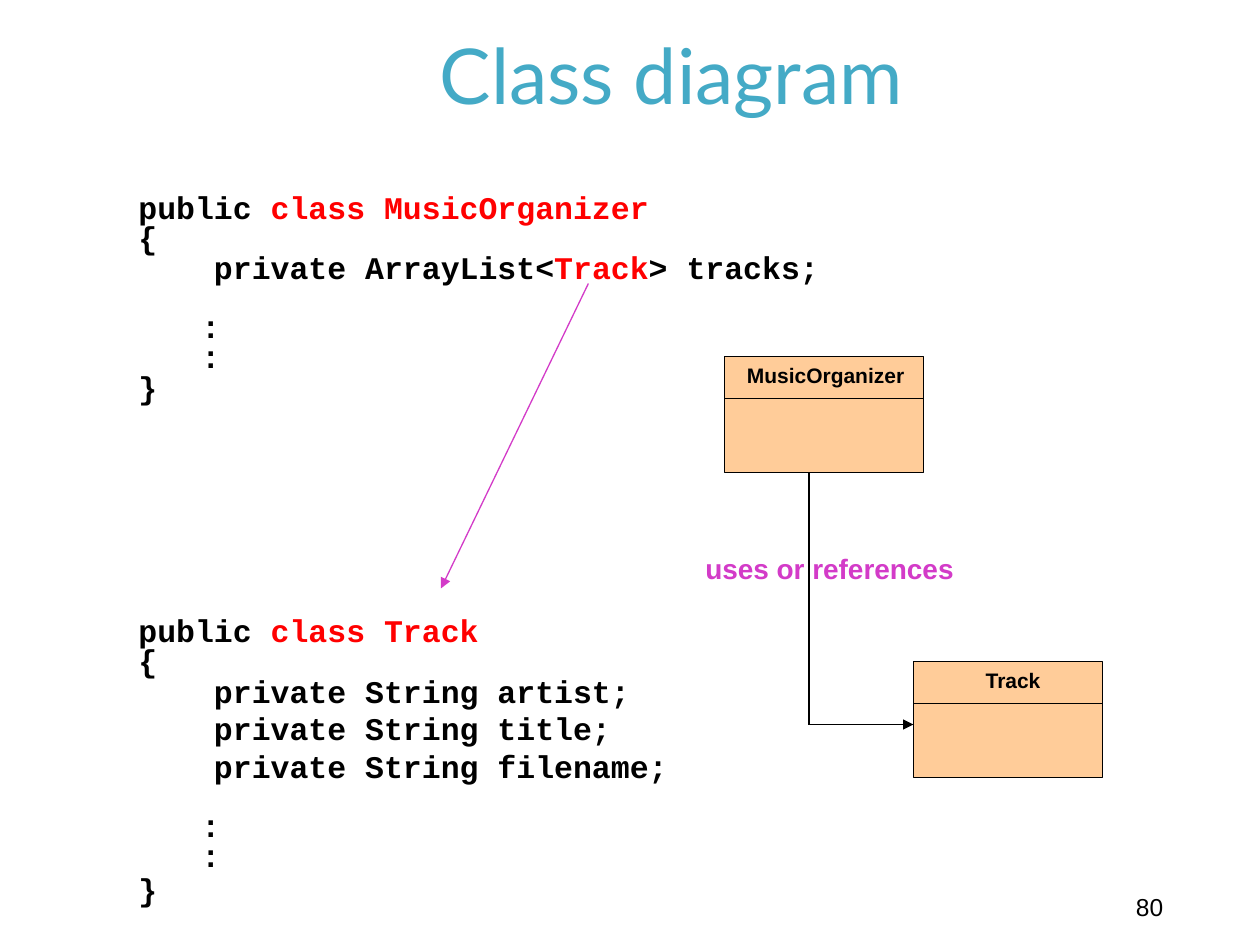
from lxml import etree
from pptx import Presentation
from pptx.dml.color import RGBColor
from pptx.enum.shapes import MSO_CONNECTOR as Connector, MSO_SHAPE as Shape
from pptx.enum.text import MSO_ANCHOR as Anchor, PP_ALIGN as Align
from pptx.oxml.ns import qn
from pptx.util import Inches, Pt

COLORS = {
    "white": "FFFFFF",
    "black": "000000",
    "title": "44AAC6",
    "keyword": "FF0000",
    "class_fill": "FFCC99",
    "reference": "D33BC8",
}
CODE_SPACING = 0.8
BLANK_LINE = 16.3

# Each line: its (text, color) spans, space before in points, line spacing
ORGANIZER_CODE = [
    ([("public ", "black"), ("class MusicOrganizer", "keyword")], 0, CODE_SPACING),
    ([("{", "black")], 0, CODE_SPACING),
    ([("    private ArrayList<", "black"), ("Track", "keyword"),
      ("> tracks;", "black")], 0, CODE_SPACING),
    ([("\t:", "black")], BLANK_LINE, CODE_SPACING),
    ([("\t:", "black")], 0, CODE_SPACING),
    ([("}", "black")], 0, CODE_SPACING),
]
TRACK_CODE = [
    ([("public ", "black"), ("class Track", "keyword")], 0, CODE_SPACING),
    ([("{", "black")], 0, CODE_SPACING),
    ([("    private String artist;", "black")], 0, CODE_SPACING),
    ([("    private String title;", "black")], 0, 1.0),
    ([("    private String filename;", "black")], 0, 1.0),
    ([("\t:", "black")], BLANK_LINE, CODE_SPACING),
    ([("\t:", "black")], 0, CODE_SPACING),
    ([("}", "black")], 2, CODE_SPACING),
]


def rgb(name):
    return RGBColor.from_string(COLORS[name])


def add_span(para, text, size=12, font="Arial", color="black", bold=False):
    span = para.add_run()
    span.text = text
    span.font.size = Pt(size)
    span.font.name = font
    span.font.bold = bold
    span.font.color.rgb = rgb(color)


class SlideBuilder:
    def __init__(self, slide):
        self.slide = slide

    def text_box(self, left, top, width, height):
        box = self.slide.shapes.add_textbox(
            Inches(left), Inches(top), Inches(width), Inches(height))
        box.text_frame.word_wrap = True
        return box.text_frame

    def label(self, left, top, width, height, text, align=Align.LEFT, **style):
        para = self.text_box(left, top, width, height).paragraphs[0]
        para.alignment = align
        add_span(para, text, **style)

    def code(self, left, top, width, height, lines):
        frame = self.text_box(left, top, width, height)
        for index, (spans, before, spacing) in enumerate(lines):
            para = frame.add_paragraph() if index else frame.paragraphs[0]
            para.line_spacing = spacing
            para.space_before = Pt(before)
            for text, color in spans:
                add_span(para, text, size=18, font="Courier New",
                         color=color, bold=True)

    def rectangle(self, left, top, width, height, fill, line=None):
        shape = self.slide.shapes.add_shape(
            Shape.RECTANGLE, Inches(left), Inches(top), Inches(width), Inches(height))
        shape.shadow.inherit = False
        shape.fill.solid()
        shape.fill.fore_color.rgb = rgb(fill)
        if line:
            shape.line.color.rgb = rgb(line)
            shape.line.width = Pt(0.75)
        else:
            shape.line.fill.background()
        return shape

    def title(self, left, top, width, height, text):
        frame = self.rectangle(left, top, width, height, "white").text_frame
        frame.word_wrap = True
        frame.vertical_anchor = Anchor.MIDDLE
        para = frame.paragraphs[0]
        para.alignment = Align.CENTER
        add_span(para, text, size=44, font="Lato", color="title")

    def line(self, start, end, color="black", weight=0.75, arrow=False):
        connector = self.slide.shapes.add_connector(
            Connector.STRAIGHT, *map(Inches, start + end))
        connector.line.color.rgb = rgb(color)
        connector.line.width = Pt(weight)
        if arrow:
            outline = connector.line._get_or_add_ln()
            etree.SubElement(outline, qn("a:tailEnd"), type="triangle")
        etree.SubElement(connector._element.spPr, qn("a:effectLst"))

    def class_box(self, left, top, width, name, align):
        """Draw a class with its name above a divider."""
        self.rectangle(left, top, width, 0.92, "class_fill", line="black")
        self.label(left + 0.08, top, width - 0.08, 0.3, name, align, bold=True)
        divider = top + 0.335
        self.line((left, divider), (left + width, divider))


def main():
    deck = Presentation()
    deck.slide_width, deck.slide_height = Inches(10), Inches(7.5)
    page = SlideBuilder(deck.slides.add_slide(deck.slide_layouts[6]))

    page.label(8.75, 7.03, 0.58, 0.33, "80", Align.RIGHT, size=14)
    page.title(1.08, 0.25, 8.5, 0.67, "Class diagram")
    page.code(1, 1.5, 5.67, 1.8, ORGANIZER_CODE)
    page.code(1, 4.86, 5.67, 2.37, TRACK_CODE)

    page.class_box(5.75, 2.83, 1.58, "MusicOrganizer", Align.LEFT)
    page.class_box(7.25, 5.25, 1.5, "Track", Align.CENTER)
    page.line((6.42, 3.75), (6.42, 5.75), weight=1)
    page.line((6.42, 5.75), (7.25, 5.75), weight=1, arrow=True)

    page.line((4.67, 2.25), (3.5, 4.67), color="reference", arrow=True)
    page.label(5.5, 4.33, 2.33, 0.37, "uses or references",
               size=16, color="reference", bold=True)
    deck.save("out.pptx")


if __name__ == "__main__":
    main()
